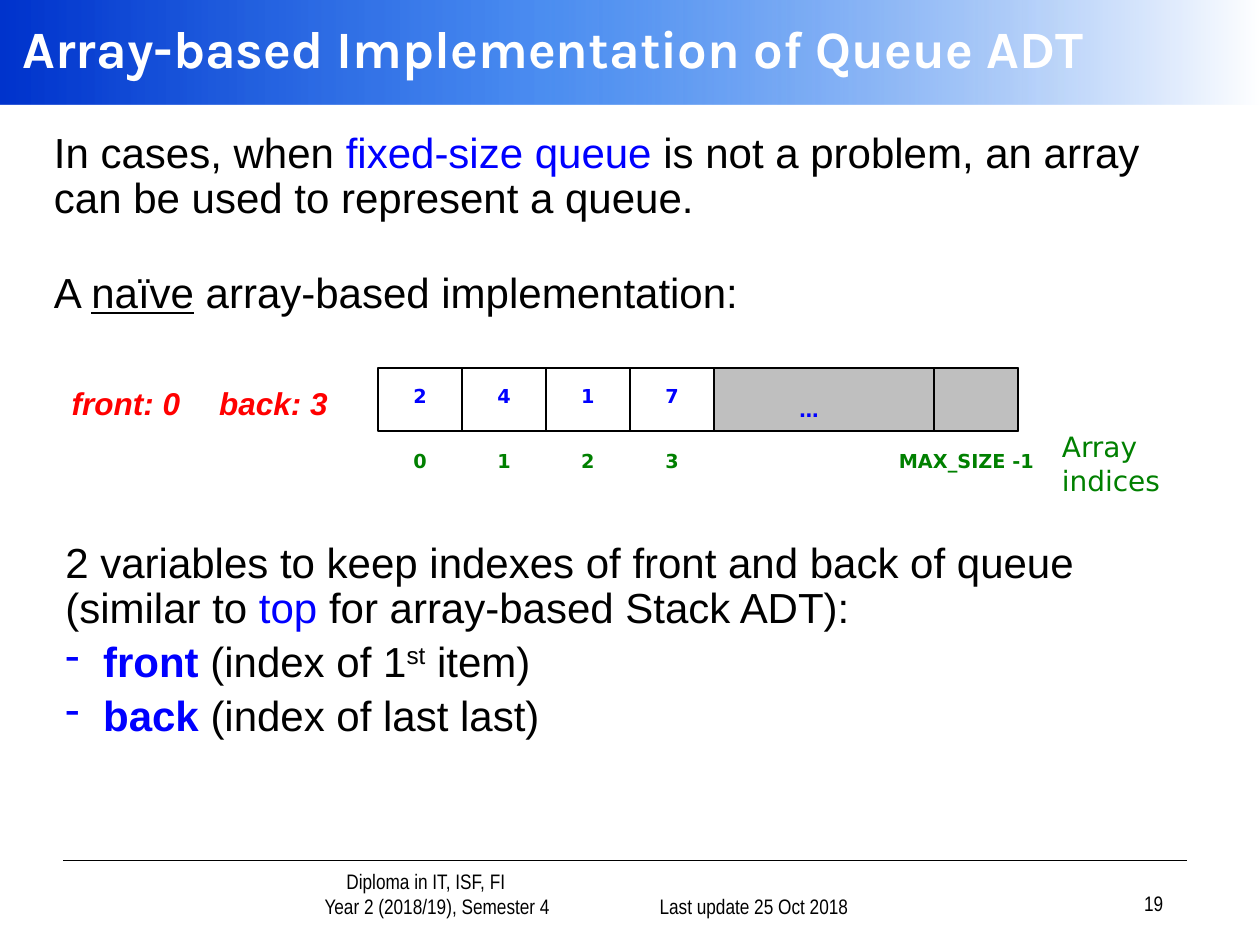
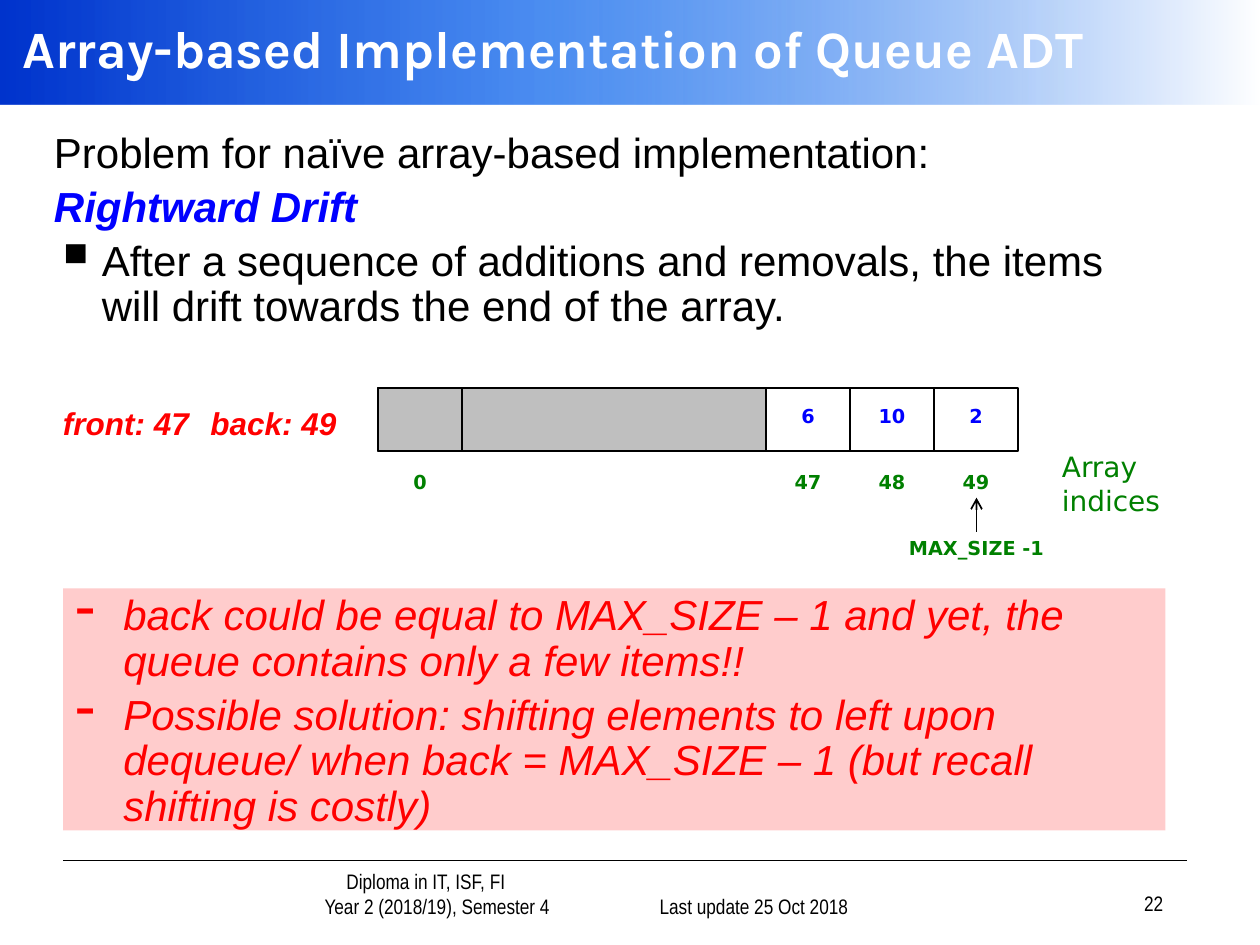
from lxml import etree
from pptx import Presentation
from pptx.dml.color import RGBColor
from pptx.enum.shapes import MSO_CONNECTOR, MSO_SHAPE
from pptx.enum.text import MSO_ANCHOR, PP_ALIGN
from pptx.oxml import parse_xml
from pptx.oxml.ns import nsdecls, qn
from pptx.util import Inches, Pt

LEFT, CENTER, RIGHT = PP_ALIGN.LEFT, PP_ALIGN.CENTER, PP_ALIGN.RIGHT
TOP, MIDDLE, BOTTOM = MSO_ANCHOR.TOP, MSO_ANCHOR.MIDDLE, MSO_ANCHOR.BOTTOM
RECT, STRAIGHT = MSO_SHAPE.RECTANGLE, MSO_CONNECTOR.STRAIGHT

# Shared colours and text styles
BLACK, WHITE, BLUE, RED = "000000", "FFFFFF", "0000FF", "FF0000"
GREEN, GREY, PINK = "008000", "BFBFBF", "FFCCCC"
TITLE = dict(size=30, font="Karla", color=WHITE, bold=True)
BODY = dict(size=24, font="Arial", color=BLACK)
KEYWORD = {**BODY, "color": BLUE}
STRONG = {**KEYWORD, "bold": True}
WARNING = {**BODY, "color": RED, "italic": True}
VARIABLE = dict(size=18, font="Arial", color=RED, bold=True, italic=True)
VALUE = dict(size=11, font="DejaVu Sans", color=BLUE, bold=True)
INDEX = {**VALUE, "color": GREEN}
CAPTION = dict(size=16, font="DejaVu Sans", color=GREEN)
FOOTER = dict(size=12, font="Arial Narrow", color=BLACK)

# Array geometry in inches
ARRAY_LEFT, ARRAY_RIGHT, ARRAY_HEIGHT = 3.0, 8.08, 0.5
CELL = 2 / 3


def rgb(value):
    return RGBColor.from_string(value)


# Text
def add_run(p, text, size, font, color, bold=False, italic=False,
            underline=False, baseline=0):
    r = p.add_run()
    r.text = text
    f = r.font
    f.size, f.name, f.bold, f.italic = Pt(size), font, bold, italic
    f.underline = underline
    f.color.rgb = rgb(color)
    if baseline:
        f._element.set("baseline", str(baseline * 1000))


def set_indent(p, margin, first=0):
    pPr = p._p.get_or_add_pPr()
    pPr.set("marL", str(Inches(margin)))
    pPr.set("indent", str(Inches(first)))


def set_bullet(p, char, color, indent, percent):
    set_indent(p, indent, -indent)
    pPr = p._p.get_or_add_pPr()
    bu_color = etree.SubElement(pPr, qn("a:buClr"))
    etree.SubElement(bu_color, qn("a:srgbClr")).set("val", color)
    etree.SubElement(pPr, qn("a:buSzPct")).set("val", str(percent * 1000))
    etree.SubElement(pPr, qn("a:buChar")).set("char", char)


def fill_body(tf, paragraphs):
    """Each paragraph is (runs, space before, bullet arguments or None)."""
    tf.word_wrap = True
    tf.vertical_anchor = TOP
    for i, (runs, space, bullet) in enumerate(paragraphs):
        p = tf.add_paragraph() if i else tf.paragraphs[0]
        p.alignment = LEFT
        p.line_spacing = 0.9
        if i:
            p.space_before = Pt(space)
        if bullet:
            set_bullet(p, *bullet)
        for text, style in runs:
            add_run(p, text, **style)


def add_body(slide, x, y, paragraphs):
    box = slide.shapes.add_textbox(Inches(x), Inches(y), Inches(9.08), Inches(1.92))
    fill_body(box.text_frame, paragraphs)


def add_label(slide, text, x, y, w, h, style, align=LEFT, anchor=TOP):
    box = slide.shapes.add_textbox(Inches(x), Inches(y), Inches(w), Inches(h))
    tf = box.text_frame
    tf.word_wrap = True
    tf.vertical_anchor = anchor
    p = tf.paragraphs[0]
    p.alignment = align
    add_run(p, text, **style)
    return tf


def add_centred(slide, text, centre, y, style, w=1.0, h=0.29):
    add_label(slide, text, centre - w / 2, y, w, h, style, CENTER)


# Shapes and lines
def add_rect(slide, x, y, w, h, fill=None, line=None):
    sp = slide.shapes.add_shape(RECT, Inches(x), Inches(y), Inches(w), Inches(h))
    sp.shadow.inherit = False
    if fill:
        sp.fill.solid()
        sp.fill.fore_color.rgb = rgb(fill)
    else:
        sp.fill.background()
    if line:
        sp.line.color.rgb = rgb(line)
        sp.line.width = Pt(1)
    else:
        sp.line.fill.background()
    return sp


def add_line(slide, x1, y1, x2, y2, arrow=False):
    line = slide.shapes.add_connector(
        STRAIGHT, Inches(x1), Inches(y1), Inches(x2), Inches(y2))
    line.line.color.rgb = rgb(BLACK)
    line.line.width = Pt(1)
    if arrow:
        ln = line.line._get_or_add_ln()
        etree.SubElement(ln, qn("a:tailEnd")).set("type", "arrow")
    etree.SubElement(line._element.spPr, qn("a:effectLst"))


def add_band(slide):
    band = add_rect(slide, 0, 0, 10, 0.83)
    spPr = band._element.spPr
    gradient = parse_xml(
        f'<a:gradFill {nsdecls("a")} rotWithShape="1"><a:gsLst>'
        '<a:gs pos="0"><a:srgbClr val="0033CC"/></a:gs>'
        '<a:gs pos="43000"><a:srgbClr val="005EEB"><a:alpha val="70000"/></a:srgbClr></a:gs>'
        '<a:gs pos="100000"><a:srgbClr val="FFFFFF"/></a:gs>'
        '</a:gsLst><a:lin ang="0" scaled="1"/></a:gradFill>')
    spPr.replace(spPr.find(qn("a:noFill")), gradient)


# Frame shared by the slides
def add_framed_slide(prs, number):
    slide = prs.slides.add_slide(prs.slide_layouts[6])
    add_band(slide)
    add_label(slide, "Array-based Implementation of Queue ADT",
              0.08, 0, 9.9, 0.75, TITLE, anchor=MIDDLE)
    add_line(slide, 0.5, 6.83, 9.42, 6.83)
    tf = add_label(slide, "Diploma in IT, ISF, FI", 1.68, 6.92, 2.9, 0.42,
                   FOOTER, CENTER, BOTTOM)
    set_indent(tf.paragraphs[0], 0.5)
    p = tf.add_paragraph()
    p.alignment = CENTER
    set_indent(p, 0.68)
    add_run(p, "Year 2 (2018/19), Semester 4", **FOOTER)
    add_label(slide, "Last update 25 Oct 2018", 4.75, 6.92, 2.08, 0.42,
              FOOTER, RIGHT, BOTTOM)
    add_label(slide, str(number), 7.25, 6.9, 2.08, 0.42, FOOTER, RIGHT, BOTTOM)
    return slide


# Array diagram
def cell_left(cell):
    """Left edge of a cell; negative cells count from the right end."""
    return (ARRAY_LEFT if cell >= 0 else ARRAY_RIGHT) + cell * CELL


def add_array(slide, top, front, back, unused, dividers, values, indices):
    start, end = unused
    add_rect(slide, start, top, end - start, ARRAY_HEIGHT, GREY, BLACK)
    add_rect(slide, ARRAY_LEFT, top, ARRAY_RIGHT - ARRAY_LEFT, ARRAY_HEIGHT, line=BLACK)
    for cell in dividers:
        x = cell_left(cell)
        add_line(slide, x, top + ARRAY_HEIGHT, x, top)
    for labels, offset, style in ((values, 0.08, VALUE), (indices, 0.6, INDEX)):
        for cell, text in labels.items():
            add_centred(slide, text, cell_left(cell) + CELL / 2, top + offset, style)
    for text, centre in ((f"front: {front}", 1.0), (f"back: {back}", 2.17)):
        add_centred(slide, text, centre, top + 0.08, VARIABLE, 1.67, 0.4)
    add_label(slide, "Array indices", 8.33, top + 0.44, 1.2, 0.64, CAPTION)


# Slides
def naive_slide(prs):
    slide = add_framed_slide(prs, 19)
    add_body(slide, 0.33, 1, [
        ([("In cases, when ", BODY), ("fixed-size queue ", KEYWORD),
          ("is not a problem, an array can be used to represent a queue.", BODY)], 0, None),
        ([("A ", BODY), ("naïve", {**BODY, "underline": True}),
          (" array-based implementation:", BODY)], 28, None),
    ])
    add_array(slide, 2.92, 0, 3, (cell_left(4), ARRAY_RIGHT), (1, 2, 3, 4, -1),
              dict(enumerate("2417")), dict(enumerate("0123")))
    add_centred(slide, "…", 6.42, 3.11, VALUE)
    add_centred(slide, "MAX_SIZE -1", 7.67, 3.52, INDEX, 2)
    dash = ("-", BLUE, 0.3, 100)
    add_body(slide, 0.42, 4.25, [
        ([("2 variables to keep indexes of front and back of queue (similar to ", BODY),
          ("top", KEYWORD), (" for array-based Stack ADT):", BODY)], 0, None),
        ([("front ", STRONG), ("(index of 1", BODY), ("st", {**BODY, "baseline": 30}),
          (" item)", BODY)], 5, dash),
        ([("back ", STRONG), ("(index of last last)", BODY)], 5, dash),
    ])


def drift_slide(prs):
    slide = add_framed_slide(prs, 22)
    add_body(slide, 0.33, 1, [
        ([("Problem for naïve array-based implementation:", BODY)], 0, None),
        ([("Rightward Drift", {**STRONG, "italic": True})], 5, None),
        ([("After a sequence of additions and removals, the items will drift "
           "towards the end of the array.", BODY)], 5, ("▪", BLACK, 0.38, 140)),
    ])
    add_array(slide, 3.08, 47, 49, (ARRAY_LEFT, cell_left(-3)), (1, -3, -2, -1),
              {-3: "6", -2: "10", -1: "2"}, {0: "0", -3: "47", -2: "48", -1: "49"})
    add_centred(slide, "MAX_SIZE -1", 7.75, 4.21, INDEX, 2)
    add_line(slide, 7.75, 4.22, 7.75, 3.95, arrow=True)
    dash = ("-", RED, 0.38, 140)
    panel = add_rect(slide, 0.5, 4.67, 8.75, 1.92, PINK)
    fill_body(panel.text_frame, [
        ([("back could be equal to MAX_SIZE – 1 and yet, the queue contains "
           "only a few items!!", WARNING)], 0, dash),
        ([("Possible solution: shifting elements to left upon dequeue/ when "
           "back = MAX_SIZE – 1 (but recall shifting is costly)", WARNING)], 5, dash),
    ])


def main():
    prs = Presentation()
    prs.slide_width, prs.slide_height = Inches(10), Inches(7.5)
    naive_slide(prs)
    drift_slide(prs)
    prs.save("out.pptx")


if __name__ == "__main__":
    main()
